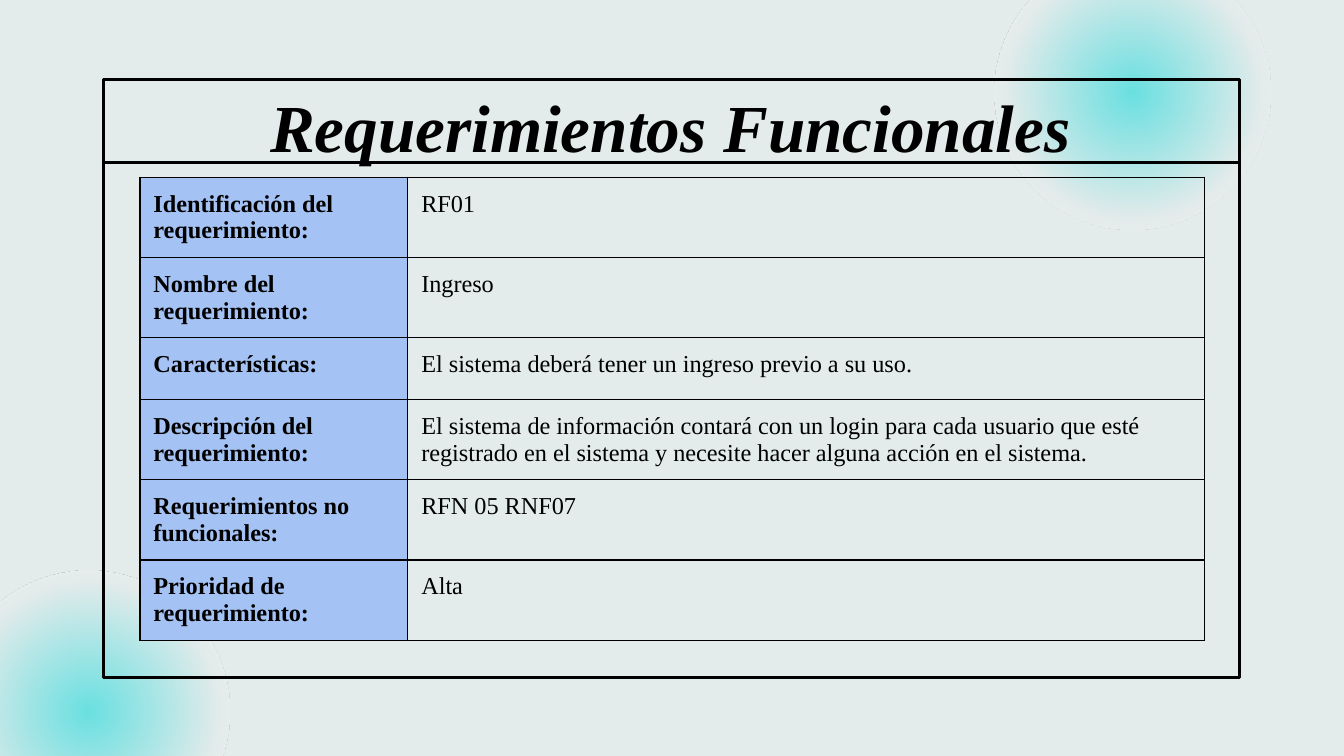
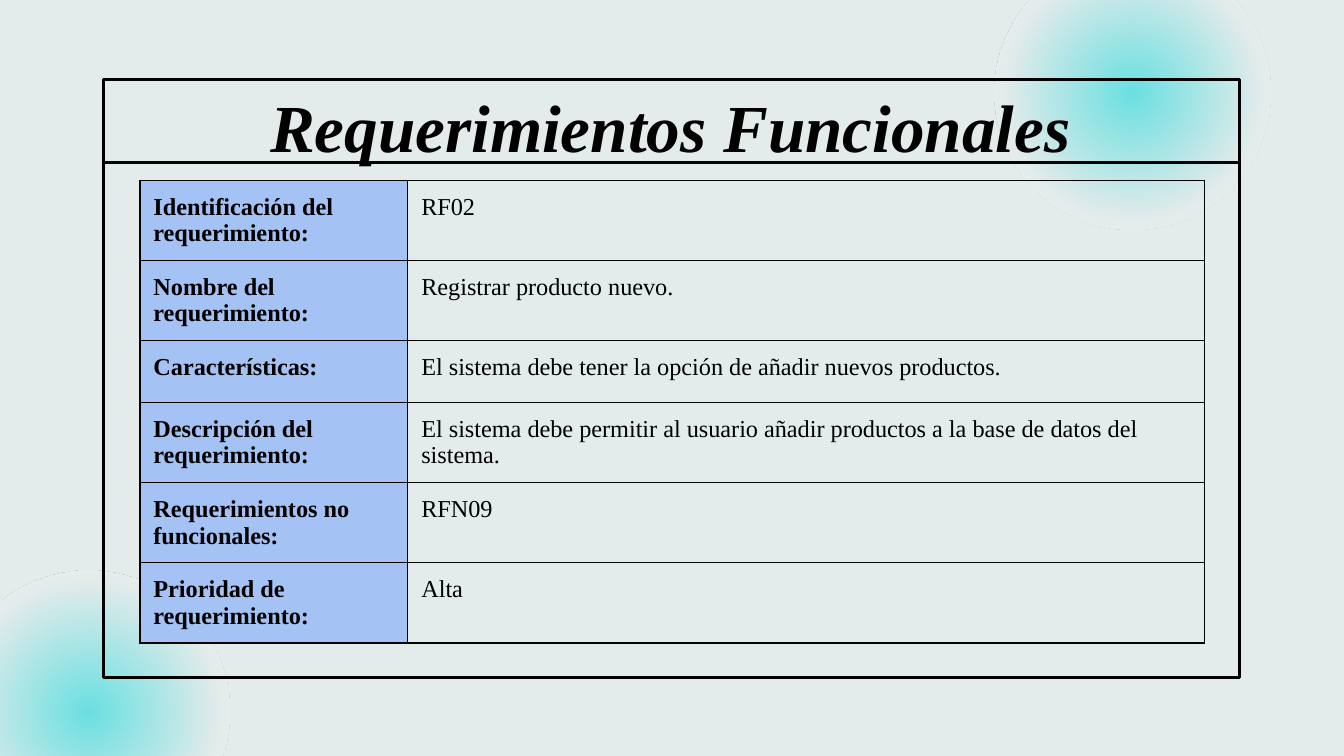
"""Build two functional-requirement slides with a shared frame and table style."""
from dataclasses import dataclass

from pptx import Presentation, oxml, util as u
from pptx.dml.color import RGBColor
from pptx.enum import shapes, text
from pptx.oxml import ns

PX = 6350
FONT = "Times New Roman"
BLACK = RGBColor(0x00, 0x00, 0x00)
WHITE = RGBColor(0xFF, 0xFF, 0xFF)
MIST = RGBColor(0xE3, 0xEB, 0xEB)
TURQUOISE = RGBColor(0x6A, 0xE0, 0xE1)
LABEL_BLUE = RGBColor(0xA4, 0xC2, 0xF4)

TITLE = "Requerimientos Funcionales"
LABELS = (
    "Identificación del requerimiento:",
    "Nombre del requerimiento:",
    "Características:",
    "Descripción del requerimiento:",
    "Requerimientos no funcionales:",
    "Prioridad de requerimiento:",
)
COLUMN_WIDTHS = (287, 854)
ROW_HEIGHTS = (85, 66, 66, 85, 85, 66)
TABLE_LEFT = 150
INSET = u.Inches(0.1)


@dataclass(frozen=True)
class Area:
    left: int
    top: int
    width: int
    height: int

    def emu(self) -> tuple[int, int, int, int]:
        return px(self.left), px(self.top), px(self.width), px(self.height)


@dataclass(frozen=True)
class Requirement:
    table_top: int
    values: tuple[str, ...]


GLOWS = (Area(-56, 611, 302, 302), Area(1066, -49, 295, 295))
FRAME = Area(111, 85, 1217, 641)
TITLE_AREA = Area(108, 85, 1221, 99)
RULE_Y = 174

REQUIREMENTS = (
    Requirement(190, (
        "RF01",
        "Ingreso",
        "El sistema deberá tener un ingreso previo a su uso.",
        "El sistema de información contará con un login para cada usuario que esté "
        "registrado en el sistema y necesite hacer alguna acción en el sistema.",
        "RFN 05 RNF07",
        "Alta",
    )),
    Requirement(193, (
        "RF02",
        "Registrar producto nuevo.",
        "El sistema debe tener la opción de añadir nuevos productos.",
        "El sistema debe permitir al usuario añadir productos a la base de datos del sistema.",
        "RFN09",
        "Alta",
    )),
)


def px(length: int) -> u.Emu:
    return u.Emu(length * PX)


def add_span(para, words: str, size: int, bold: bool, italic: bool = False) -> None:
    span = para.add_run()
    span.text = words
    span.font.name = FONT
    span.font.size = u.Pt(size)
    span.font.bold = bold
    span.font.italic = italic
    span.font.color.rgb = BLACK


def set_insets(box) -> None:
    box.margin_left = box.margin_right = INSET
    box.margin_top = box.margin_bottom = INSET


def draw_glow(page, area: Area) -> None:
    glow = page.shapes.add_shape(shapes.MSO_SHAPE.OVAL, *area.emu())
    glow.rotation = 180
    glow.shadow.inherit = False
    glow.line.fill.background()
    glow.fill.solid()
    gradient = oxml.parse_xml(
        f'<a:gradFill {ns.nsdecls("a")} rotWithShape="1"><a:gsLst>'
        f'<a:gs pos="0"><a:srgbClr val="{TURQUOISE}"/></a:gs>'
        f'<a:gs pos="65000"><a:srgbClr val="{MIST}"/></a:gs>'
        f'<a:gs pos="100000"><a:srgbClr val="{WHITE}"><a:alpha val="0"/></a:srgbClr></a:gs>'
        '</a:gsLst><a:path path="circle">'
        '<a:fillToRect l="50000" t="50000" r="50000" b="50000"/></a:path></a:gradFill>'
    )
    properties = glow.element.spPr
    properties.replace(properties.find(ns.qn("a:solidFill")), gradient)


def draw_frame(page) -> None:
    frame = page.shapes.add_shape(shapes.MSO_SHAPE.RECTANGLE, *FRAME.emu())
    frame.shadow.inherit = False
    frame.fill.background()
    right = FRAME.left + FRAME.width
    rule = page.shapes.add_connector(
        shapes.MSO_CONNECTOR.STRAIGHT, px(FRAME.left), px(RULE_Y), px(right), px(RULE_Y)
    )
    for outline in (frame.line, rule.line):
        outline.color.rgb = BLACK
        outline.width = u.Pt(1.5)
    rule.element.spPr.append(oxml.parse_xml(f'<a:effectLst {ns.nsdecls("a")}/>'))


def place_title(page) -> None:
    title = page.shapes.title
    title.left, title.top, title.width, title.height = TITLE_AREA.emu()
    title.element.getparent().append(title.element)
    box = title.text_frame
    box.word_wrap = True
    box.auto_size = text.MSO_AUTO_SIZE.NONE
    box.vertical_anchor = text.MSO_ANCHOR.MIDDLE
    set_insets(box)
    para = box.paragraphs[0]
    para.alignment = text.PP_ALIGN.CENTER
    add_span(para, TITLE, 36, bold=True, italic=True)


def add_borders(cell) -> None:
    properties = cell._tc.get_or_add_tcPr()
    for index, side in enumerate(("lnL", "lnR", "lnT", "lnB")):
        properties.insert(index, oxml.parse_xml(
            f'<a:{side} {ns.nsdecls("a")} w="{u.Pt(0.75)}"><a:solidFill>'
            f'<a:srgbClr val="{BLACK}"/></a:solidFill></a:{side}>'
        ))


def fill_cell(cell, words: str, is_label: bool) -> None:
    set_insets(cell)
    if is_label:
        cell.fill.solid()
        cell.fill.fore_color.rgb = LABEL_BLUE
    else:
        cell.fill.background()
    add_borders(cell)
    add_span(cell.text_frame.paragraphs[0], words, 13, bold=is_label)


def draw_table(page, requirement: Requirement) -> None:
    area = Area(TABLE_LEFT, requirement.table_top, sum(COLUMN_WIDTHS), sum(ROW_HEIGHTS))
    table = page.shapes.add_table(len(LABELS), len(COLUMN_WIDTHS), *area.emu()).table
    table.first_row = table.horz_banding = False
    for column, width in zip(table.columns, COLUMN_WIDTHS):
        column.width = px(width)
    for row, height in zip(table.rows, ROW_HEIGHTS):
        row.height = px(height)
    for index, (label, value) in enumerate(zip(LABELS, requirement.values)):
        fill_cell(table.cell(index, 0), label, is_label=True)
        fill_cell(table.cell(index, 1), value, is_label=False)


def main() -> None:
    deck = Presentation()
    deck.slide_width, deck.slide_height = px(1440), px(810)
    backdrop = deck.slide_master.background.fill
    backdrop.solid()
    backdrop.fore_color.rgb = MIST
    for requirement in REQUIREMENTS:
        page = deck.slides.add_slide(deck.slide_layouts.get_by_name("Title Only"))
        for glow in GLOWS:
            draw_glow(page, glow)
        draw_frame(page)
        place_title(page)
        draw_table(page, requirement)
    deck.save("out.pptx")


if __name__ == "__main__":
    main()
